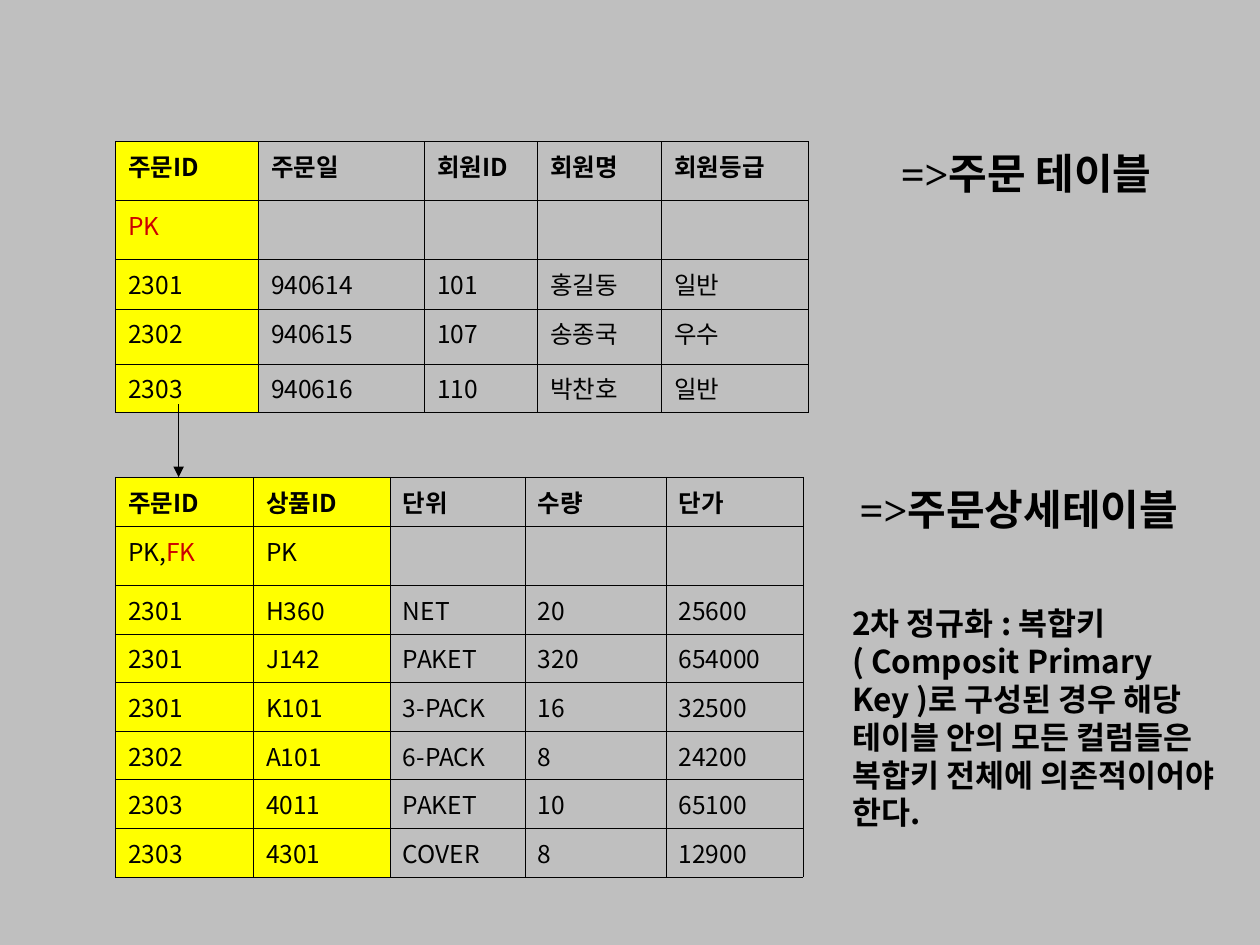
from lxml import etree
from pptx import Presentation
from pptx.dml.color import RGBColor
from pptx.enum.shapes import MSO_CONNECTOR
from pptx.enum.text import MSO_ANCHOR, PP_ALIGN
from pptx.oxml.ns import qn
from pptx.util import Cm, Pt

STRAIGHT = MSO_CONNECTOR.STRAIGHT
MIDDLE, TOP = MSO_ANCHOR.MIDDLE, MSO_ANCHOR.TOP
CENTER, LEFT = PP_ALIGN.CENTER, PP_ALIGN.LEFT
SANS, SERIF = "Noto Sans CJK KR", "Times New Roman"
BLACK, RED, YELLOW, GRAY = "000000", "CC0000", "FFFF00", "BFBFBF"

ORDERS = [
    ["주문ID", "주문일", "회원ID", "회원명", "회원등급"],
    ["PK", "", "", "", ""],
    ["2301", "940614", "101", "홍길동", "일반"],
    ["2302", "940615", "107", "송종국", "우수"],
    ["2303", "940616", "110", "박찬호", "일반"],
]
DETAILS = [
    ["주문ID", "상품ID", "단위", "수량", "단가"],
    ["PK,FK", "PK", "", "", ""],
    ["2301", "H360", "NET", "20", "25600"],
    ["2301", "J142", "PAKET", "320", "654000"],
    ["2301", "K101", "3-PACK", "16", "32500"],
    ["2302", "A101", "6-PACK", "8", "24200"],
    ["2303", "4011", "PAKET", "10", "65100"],
    ["2303", "4301", "COVER", "8", "12900"],
]
NOTE = ("2차 정규화 : 복합키( Composit Primary Key )로 구성된 경우 해당 "
        "테이블 안의 모든 컬럼들은 복합키 전체에 의존적이어야 한다.")


def color(value):
    """Turn a hex string into a colour."""
    return RGBColor.from_string(value)


def style(para, size, bold, name=SANS):
    """Set the font of a paragraph, with Korean letters in the sans face."""
    font = para.font
    font.size, font.bold, font.name = Pt(size), bold, name
    font.color.rgb = color(BLACK)
    properties = para._p.get_or_add_pPr().find(qn("a:defRPr"))
    etree.SubElement(properties, qn("a:ea"), typeface=SANS)


def add_borders(cell):
    """Draw a thin black line on all four sides of a cell."""
    properties = cell._tc.get_or_add_tcPr()
    for side in ("lnL", "lnR", "lnT", "lnB"):
        line = etree.SubElement(properties, qn(f"a:{side}"), w=str(Pt(0.45)))
        fill = etree.SubElement(line, qn("a:solidFill"))
        etree.SubElement(fill, qn("a:srgbClr"), val=BLACK)


def add_grid(page, left, top, widths, heights, rows, key_columns, red_key):
    """Place a table whose key columns are yellow and one key mark is red."""
    frame = page.shapes.add_table(len(rows), len(widths), Cm(left), Cm(top),
                                  Cm(sum(widths)), Cm(sum(heights)))
    table = frame.table
    table.first_row = table.horz_banding = False
    for column, width in zip(table.columns, widths):
        column.width = Cm(width)
    for r, (row, height) in enumerate(zip(rows, heights)):
        table.rows[r].height = Cm(height)
        for c, text in enumerate(row):
            cell = table.cell(r, c)
            add_borders(cell)
            if c < key_columns:
                cell.fill.solid()
                cell.fill.fore_color.rgb = color(YELLOW)
            else:
                cell.fill.background()
            para = cell.text_frame.paragraphs[0]
            style(para, 14, r == 0)
            if (r, c) == (1, 0):
                plain = text.removesuffix(red_key)
                if plain:
                    para.add_run().text = plain
                span = para.add_run()
                span.text = red_key
                span.font.color.rgb = color(RED)
            elif text:
                para.add_run().text = text


def add_text(page, left, top, width, height, text, size, name=SANS,
             anchor=TOP, align=LEFT):
    """Place a wrapped bold text box."""
    box = page.shapes.add_textbox(Cm(left), Cm(top), Cm(width), Cm(height))
    frame = box.text_frame
    frame.word_wrap = True
    frame.vertical_anchor = anchor
    para = frame.paragraphs[0]
    para.alignment = align
    style(para, size, True, name)
    para.add_run().text = text


def add_title(page, left, top, width, text):
    """Place the centred name of a table."""
    add_text(page, left, top, width, 1.27, text, 24, SERIF, MIDDLE, CENTER)


def add_key_arrow(page, x, top, bottom):
    """Draw the downward arrow from the primary key to the foreign key."""
    arrow = page.shapes.add_connector(STRAIGHT, Cm(x), Cm(top), Cm(x), Cm(bottom))
    arrow.line.width = Pt(0.75)
    arrow.line.color.rgb = color(BLACK)
    etree.SubElement(arrow.line._get_or_add_ln(), qn("a:tailEnd"), type="triangle")
    etree.SubElement(arrow._element.spPr, qn("a:effectLst"))


def main():
    """Build the slide on second normal form and save it."""
    deck = Presentation()
    deck.slide_width, deck.slide_height = Cm(25.4), Cm(19.05)
    page = deck.slides.add_slide(deck.slide_layouts[6])
    page.background.fill.solid()
    page.background.fill.fore_color.rgb = color(GRAY)

    add_grid(page, 2.33, 2.85, [2.88, 3.35, 2.28, 2.5, 2.96],
             [1.19, 1.19, 1, 1.11, 0.97], ORDERS, 1, "PK")
    add_grid(page, 2.33, 9.62, [2.78, 2.76, 2.72, 2.84, 2.76],
             [0.99, 1.19] + [0.98] * 6, DETAILS, 2, "FK")
    add_title(page, 16.93, 2.85, 7.51, "=>주문 테이블")
    add_title(page, 16.31, 9.62, 8.46, "=>주문상세테이블")
    add_key_arrow(page, 3.6, 8.15, 9.62)
    add_text(page, 16.93, 12.06, 7.83, 4.83, NOTE, 18)
    deck.save("out.pptx")


if __name__ == "__main__":
    main()
